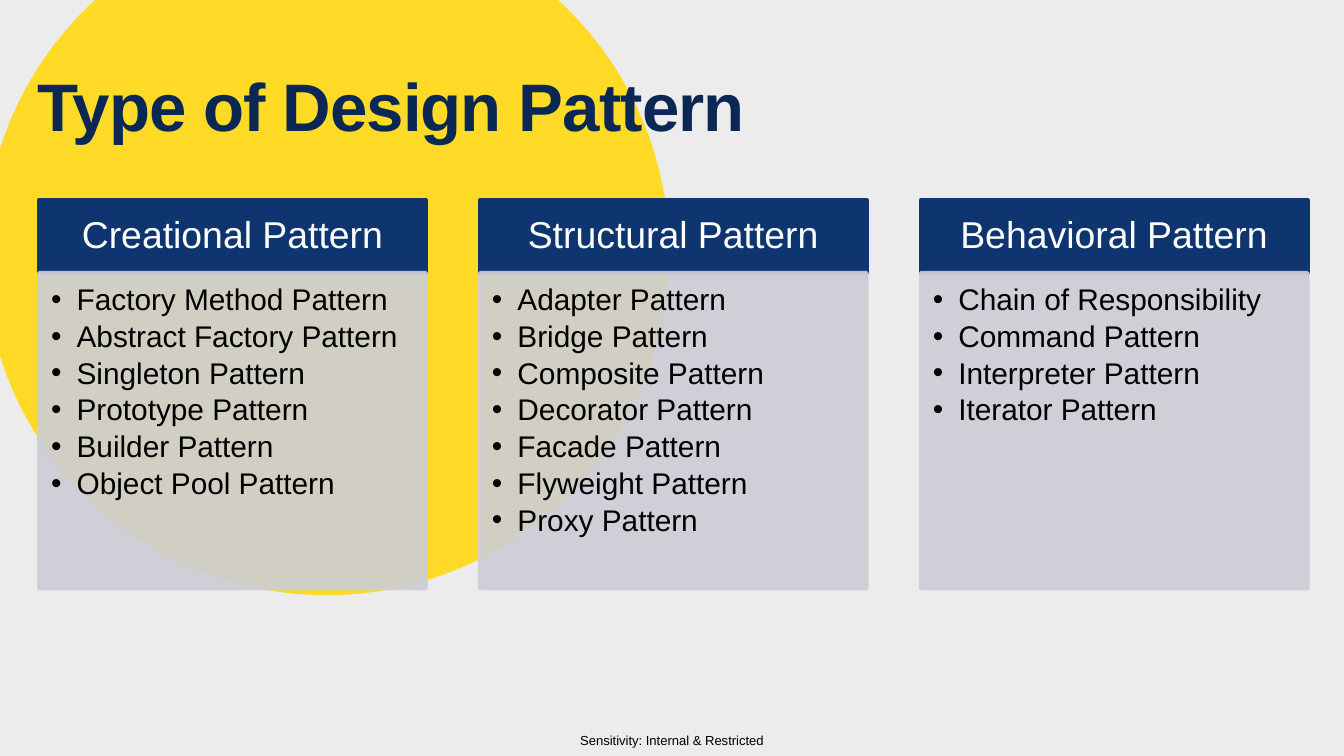
from dataclasses import dataclass
from math import asin, cos, pi, sin

from lxml.etree import SubElement
from pptx import Presentation
from pptx.dml.color import RGBColor
from pptx.enum.shapes import MSO_SHAPE
from pptx.enum.text import MSO_ANCHOR, PP_ALIGN
from pptx.oxml.ns import qn
from pptx.util import Inches, Pt


@dataclass(frozen=True)
class Theme:
    font: str = "Arial"
    background: str = "ECECEC"
    circle: str = "FFDB28"
    title: str = "0B2854"
    header: str = "0E3570"
    panel: str = "CCCED5"
    light: str = "FFFFFF"
    dark: str = "000000"
    title_size: int = 36
    header_size: int = 20
    item_size: int = 16
    footer_size: int = 7


THEME = Theme()

PATTERNS = {
    "Creational Pattern": [
        "Factory Method Pattern", "Abstract Factory Pattern", "Singleton Pattern",
        "Prototype Pattern", "Builder Pattern", "Object Pool Pattern",
    ],
    "Structural Pattern": [
        "Adapter Pattern", "Bridge Pattern", "Composite Pattern", "Decorator Pattern",
        "Facade Pattern", "Flyweight Pattern", "Proxy Pattern",
    ],
    "Behavioral Pattern": [
        "Chain of Responsibility", "Command Pattern", "Interpreter Pattern",
        "Iterator Pattern",
    ],
}


def paint(shape, color, line_width=None):
    shape.shadow.inherit = False
    shape.fill.solid()
    shape.fill.fore_color.rgb = RGBColor.from_string(color)
    if line_width is None:
        shape.line.fill.background()
    else:
        shape.line.color.rgb = RGBColor.from_string(color)
        shape.line.width = Pt(line_width)


def write(shape, lines, size, color, margins=(0, 0, 0, 0), anchor=MSO_ANCHOR.MIDDLE,
          align=PP_ALIGN.LEFT, spacing=1.0, bold=False):
    frame = shape.text_frame
    frame.word_wrap = True
    frame.vertical_anchor = anchor
    (frame.margin_left, frame.margin_top,
     frame.margin_right, frame.margin_bottom) = map(Inches, margins)
    frame.text = "\n".join(lines)
    for paragraph in frame.paragraphs:
        paragraph.alignment = align
        paragraph.line_spacing = spacing
        font = paragraph.runs[0].font
        font.name = THEME.font
        font.size = Pt(size)
        font.bold = bold
        font.color.rgb = RGBColor.from_string(color)
    return frame.paragraphs


def add_bullet(paragraph, indent):
    properties = paragraph._p.get_or_add_pPr()
    properties.set("marL", str(Inches(indent)))
    properties.set("indent", str(-Inches(indent)))
    SubElement(properties, qn("a:buFont")).set("typeface", THEME.font)
    SubElement(properties, qn("a:buChar")).set("char", "•")


def set_opacity(shape, percent):
    for color in shape._element.spPr.iter(qn("a:srgbClr")):
        SubElement(color, qn("a:alpha")).set("val", str(percent * 1000))


def add_clipped_circle(slide, center_x, center_y, radius, top, steps=96):
    start = asin((top - center_y) / radius)
    sweep = pi - 2 * start
    points = [
        (Inches(center_x + radius * cos(start + sweep * step / steps)),
         Inches(center_y + radius * sin(start + sweep * step / steps)))
        for step in range(steps + 1)
    ]
    builder = slide.shapes.build_freeform(*points[0])
    builder.add_line_segments(points[1:], close=True)
    paint(builder.convert_to_shape(), THEME.circle)


def add_title(slide, left, top, width, height, text):
    box = slide.shapes.add_textbox(*map(Inches, (left, top, width, height)))
    paragraphs = write(box, [text], THEME.title_size, THEME.title, spacing=0.98, bold=True)
    paragraphs[0].runs[0]._r.get_or_add_rPr().set("spc", "-50")


def add_pattern_column(slide, left, top, width, height, heading, items):
    header_height = 0.54
    header = slide.shapes.add_shape(
        MSO_SHAPE.RECTANGLE, *map(Inches, (left, top, width, header_height)))
    paint(header, THEME.header, 2)
    write(header, [heading], THEME.header_size, THEME.light, (0.16, 0.09, 0.16, 0.09),
          align=PP_ALIGN.CENTER, spacing=0.9)

    panel = slide.shapes.add_shape(
        MSO_SHAPE.RECTANGLE,
        *map(Inches, (left, top + header_height, width, height - header_height)))
    paint(panel, THEME.panel, 2)
    set_opacity(panel, 90)
    paragraphs = write(panel, items, THEME.item_size, THEME.dark, (0.09, 0.09, 0.12, 0.14),
                       anchor=MSO_ANCHOR.TOP, spacing=0.9)
    for paragraph in paragraphs:
        paragraph.space_after = Pt(2.4)
        add_bullet(paragraph, 0.19)


def add_footer(slide, left, top, width, height, text):
    box = slide.shapes.add_textbox(*map(Inches, (left, top, width, height)))
    write(box, [text], THEME.footer_size, THEME.dark, align=PP_ALIGN.CENTER)


def main():
    presentation = Presentation()
    presentation.slide_width = Inches(10)
    presentation.slide_height = presentation.slide_width * 9 // 16
    slide = presentation.slides.add_slide(presentation.slide_layouts[6])
    slide.background.fill.solid()
    slide.background.fill.fore_color.rgb = RGBColor.from_string(THEME.background)

    add_footer(slide, 4.18, 5.4, 1.64, 0.22, "Sensitivity: Internal & Restricted")
    add_clipped_circle(slide, 2.43, 1.88, 2.55, -0.03)
    column_width, gap = 2.88, 0.4
    for index, (heading, items) in enumerate(PATTERNS.items()):
        left = 0.29 + index * (column_width + gap)
        add_pattern_column(slide, left, 1.49, column_width, 2.89, heading, items)
    add_title(slide, 0.28, 0.28, 5.75, 1.04, "Type of Design Pattern")
    presentation.save("out.pptx")


if __name__ == "__main__":
    main()
